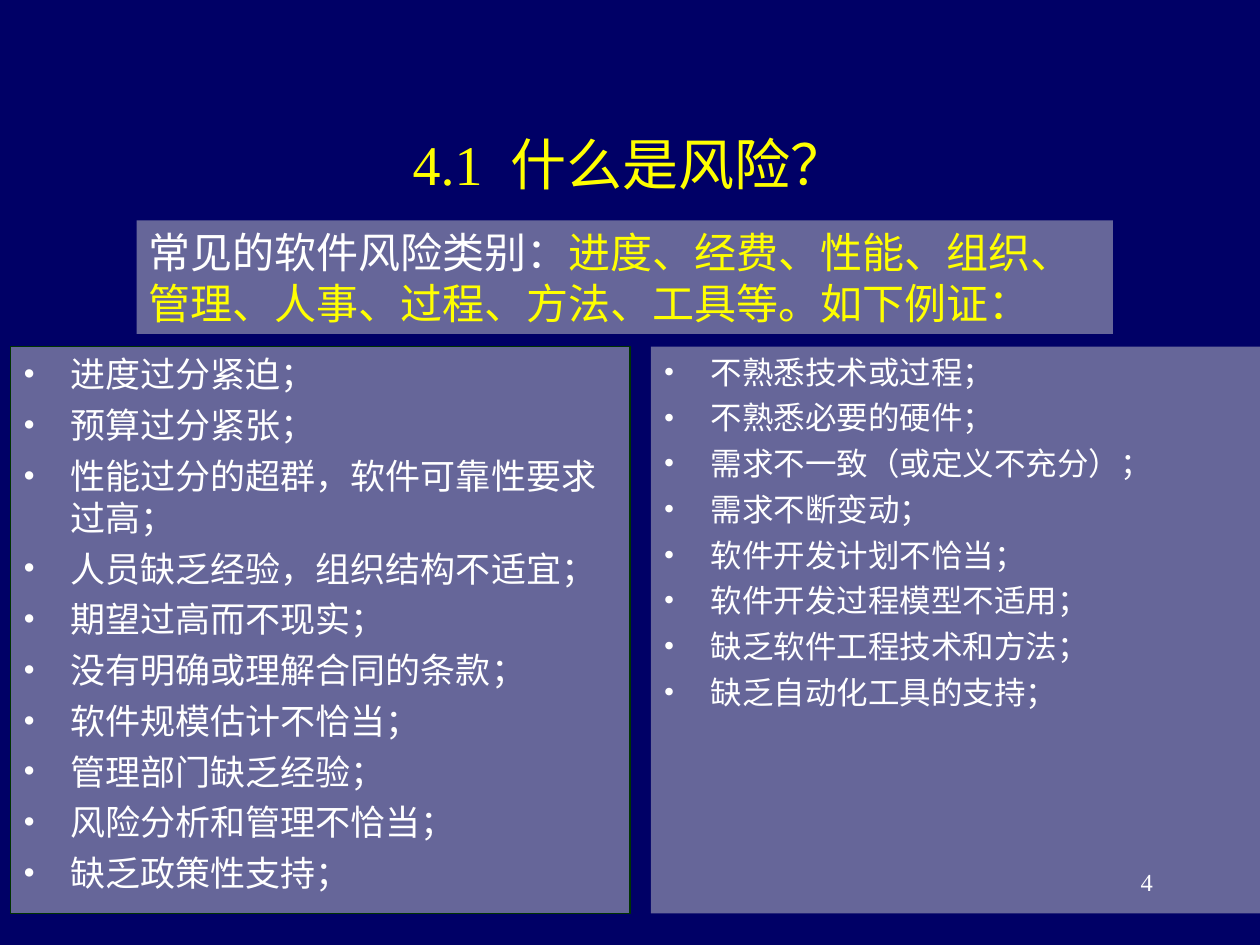
import pptx
import pptx.util
import pptx.dml.color
import pptx.enum.text
import pptx.oxml.ns
from lxml import etree

ALIGN = pptx.enum.text.PP_ALIGN
ANCHOR = pptx.enum.text.MSO_ANCHOR
AUTOSIZE = pptx.enum.text.MSO_AUTO_SIZE

COLOURS = {"night": "000066", "panel": "666699", "edge": "003300",
           "text": "FFFFFF", "accent": "FFFF00"}
FONT = "Times New Roman"
WIDTH, HEIGHT = 10, 7.5
COLUMNS, ROWS = 120, 90

HEADING = "4.1  什么是风险？"
SUMMARY = [
    ("常见的软件风险类别：", "text"),
    ("进度、经费、性能、组织、管理、人事、过程、方法、工具等。如下例证：", "accent"),
]
MANAGEMENT_RISKS = [
    "进度过分紧迫；",
    "预算过分紧张；",
    "性能过分的超群，软件可靠性要求过高；",
    "人员缺乏经验，组织结构不适宜；",
    "期望过高而不现实；",
    "没有明确或理解合同的条款；",
    "软件规模估计不恰当；",
    "管理部门缺乏经验；",
    "风险分析和管理不恰当；",
    "缺乏政策性支持；",
]
TECHNICAL_RISKS = [
    "不熟悉技术或过程；",
    "不熟悉必要的硬件；",
    "需求不一致（或定义不充分）；",
    "需求不断变动；",
    "软件开发计划不恰当；",
    "软件开发过程模型不适用；",
    "缺乏软件工程技术和方法；",
    "缺乏自动化工具的支持；",
]
PAGE = "4"

GRID = {
    "heading": (9, 8, 102, 15),
    "summary": (13, 21, 93, 10.8),
    "management": (1, 33, 59, 54),
    "technical": (62, 33, 58, 54),
    "page": (86, 82, 25, 6),
}


def rgb(name):
    return pptx.dml.color.RGBColor.from_string(COLOURS[name])


def cell(part):
    left, top, width, height = GRID[part]
    return [pptx.util.Inches(share) for share in (
        left * WIDTH / COLUMNS, top * HEIGHT / ROWS,
        width * WIDTH / COLUMNS, height * HEIGHT / ROWS)]


def assign(target, values):
    for name, value in values.items():
        setattr(target, name, value)


def place(holder, part):
    assign(holder, dict(zip(("left", "top", "width", "height"), cell(part))))


def fill_panel(panel):
    panel.fill.solid()
    panel.fill.fore_color.rgb = rgb("panel")


def prepare(box, anchor=ANCHOR.TOP):
    assign(box.text_frame, {"word_wrap": True, "auto_size": AUTOSIZE.NONE,
                            "vertical_anchor": anchor})
    return box.text_frame


def write(paragraph, text, size, colour="text"):
    run = paragraph.add_run()
    run.text = text
    assign(run.font, {"name": FONT, "size": pptx.util.Pt(size), "bold": False})
    run.font.color.rgb = rgb(colour)


def add_bullet(paragraph):
    properties = paragraph._p.get_or_add_pPr()
    indent = pptx.util.Inches(0.375)
    properties.set("marL", str(indent))
    properties.set("indent", str(-indent))
    qn = pptx.oxml.ns.qn
    colour = etree.SubElement(properties, qn("a:buClr"))
    etree.SubElement(colour, qn("a:srgbClr"), val=COLOURS["text"])
    etree.SubElement(properties, qn("a:buFont"), typeface=FONT)
    etree.SubElement(properties, qn("a:buChar"), char="•")


def write_list(holder, part, risks, size):
    place(holder, part)
    fill_panel(holder)
    frame = prepare(holder)
    for number, risk in enumerate(risks):
        paragraph = frame.add_paragraph() if number else frame.paragraphs[0]
        add_bullet(paragraph)
        paragraph.space_before = pptx.util.Pt(size / 4 if number else 0)
        write(paragraph, risk, size)


def main():
    deck = pptx.Presentation()
    assign(deck, {"slide_width": pptx.util.Inches(WIDTH),
                  "slide_height": pptx.util.Inches(HEIGHT)})
    slide = deck.slides.add_slide(deck.slide_layouts[3])
    slide.background.fill.solid()
    slide.background.fill.fore_color.rgb = rgb("night")

    heading, management, technical = slide.placeholders
    place(heading, "heading")
    heading_line = prepare(heading, ANCHOR.MIDDLE).paragraphs[0]
    heading_line.alignment = ALIGN.CENTER
    write(heading_line, HEADING, 32, "accent")

    write_list(management, "management", MANAGEMENT_RISKS, 20)
    management.line.color.rgb = rgb("edge")
    management.line.width = pptx.util.Pt(0.75)
    write_list(technical, "technical", TECHNICAL_RISKS, 18)

    summary = slide.shapes.add_textbox(*cell("summary"))
    fill_panel(summary)
    summary_line = prepare(summary).paragraphs[0]
    for text, colour in SUMMARY:
        write(summary_line, text, 24, colour)

    page = slide.shapes.add_textbox(*cell("page"))
    page_line = prepare(page).paragraphs[0]
    page_line.alignment = ALIGN.RIGHT
    write(page_line, PAGE, 14)

    deck.save("out.pptx")


if __name__ == "__main__":
    main()
